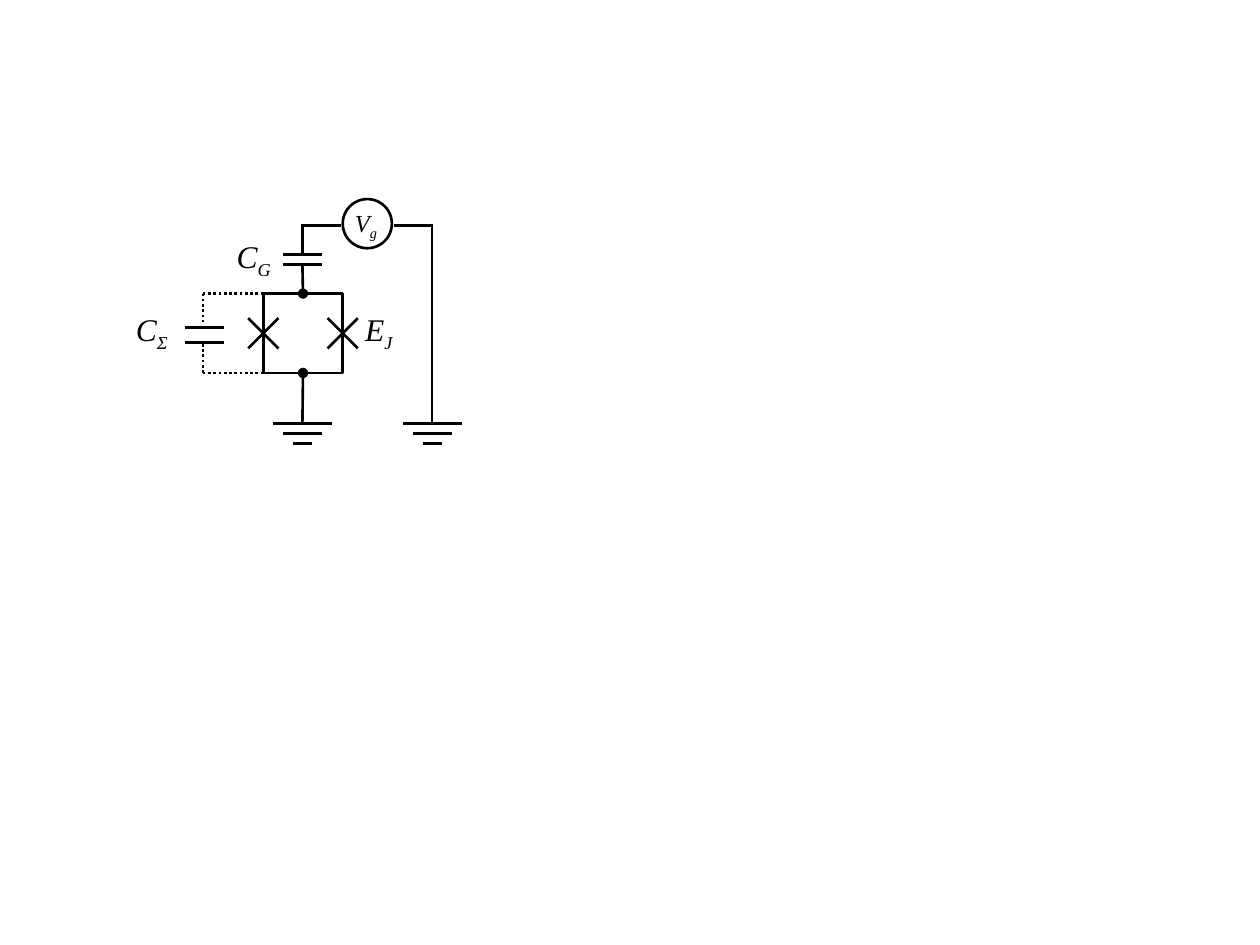
"""Build a slide with the circuit of a gated Cooper pair box."""
from dataclasses import dataclass
from typing import Optional

import pptx
import pptx.dml.color
import pptx.enum.dml
import pptx.enum.shapes
import pptx.enum.text
import pptx.oxml.ns
import pptx.util
from lxml import etree
from pptx.util import Inches

SHAPES = pptx.enum.shapes.MSO_SHAPE
ALIGN = pptx.enum.text.PP_ALIGN


@dataclass(frozen=True)
class Theme:
    """Colours, font and sizes in points."""
    ink: pptx.dml.color.RGBColor = pptx.dml.color.RGBColor(0, 0, 0)
    font: str = "Times New Roman"
    label_size: int = 18
    source_size: int = 14
    line_width: float = 1.5
    subscript: str = "-25000"


@dataclass(frozen=True)
class Wire:
    """A straight wire between two points in inches."""
    x1: float
    y1: float
    x2: float
    y2: float
    dotted: bool = False
    dot_end: Optional[str] = None


@dataclass(frozen=True)
class Label:
    """A symbol with its subscript and its box in inches."""
    symbol: str
    subscript: str
    left: float
    top: float
    width: float
    height: float
    size: int
    align: Optional[ALIGN] = None


THEME = Theme()
CENTRE, RIGHT, SHUNT = 2.4, 3.43, 1.61
LOOP_LEFT, LOOP_TOP, LOOP_SIZE = 2.09, 2.33, 0.63
LOOP_BOTTOM = LOOP_TOP + LOOP_SIZE
SOURCE_Y, GROUND_Y = 1.79, 3.36

WIRES = [
    Wire(CENTRE, 2.02, CENTRE, 1.78),
    Wire(CENTRE - 0.01, SOURCE_Y, 2.71, SOURCE_Y),
    Wire(RIGHT + 0.01, SOURCE_Y, 3.13, SOURCE_Y),
    Wire(RIGHT, 1.78, RIGHT, GROUND_Y),
    Wire(LOOP_LEFT, LOOP_TOP, SHUNT, LOOP_TOP, dotted=True),
    Wire(LOOP_LEFT, LOOP_BOTTOM, SHUNT, LOOP_BOTTOM, dotted=True),
    Wire(SHUNT, LOOP_TOP, SHUNT, 2.57, dotted=True),
    Wire(SHUNT, 2.73, SHUNT, LOOP_BOTTOM, dotted=True),
]
LABELS = [
    Label("V", "g", 2.71, 1.6, 0.39, 0.34, THEME.source_size, ALIGN.CENTER),
    Label("C", "Σ", 0.98, 2.41, 0.47, 0.4, THEME.label_size),
    Label("E", "J", 2.8, 2.41, 0.43, 0.4, THEME.label_size),
    Label("C", "G", 1.78, 1.83, 0.49, 0.4, THEME.label_size),
]


def style_line(line: pptx.dml.line.LineFormat) -> None:
    """Give a line the circuit's ink and width."""
    line.color.rgb = THEME.ink
    line.width = pptx.util.Pt(THEME.line_width)


def draw_wire(shapes, wire: Wire) -> pptx.shapes.connector.Connector:
    """Draw a wire, dotted or with a node dot where asked."""
    connector = shapes.add_connector(
        pptx.enum.shapes.MSO_CONNECTOR.STRAIGHT,
        Inches(wire.x1), Inches(wire.y1), Inches(wire.x2), Inches(wire.y2))
    style_line(connector.line)
    if wire.dotted:
        connector.line.dash_style = pptx.enum.dml.MSO_LINE.ROUND_DOT
    properties = connector._element.spPr
    if wire.dot_end:
        line = properties.find(pptx.oxml.ns.qn("a:ln"))
        etree.SubElement(line, pptx.oxml.ns.qn(f"a:{wire.dot_end}"), type="oval")
    etree.SubElement(properties, pptx.oxml.ns.qn("a:effectLst"))
    return connector


def draw_outline(shapes, kind: SHAPES, left: float, top: float,
                 size: float) -> pptx.shapes.autoshape.Shape:
    """Draw an unfilled shape as wide as it is high."""
    shape = shapes.add_shape(kind, Inches(left), Inches(top), Inches(size), Inches(size))
    shape.shadow.inherit = False
    shape.fill.background()
    style_line(shape.line)
    return shape


def draw_plates(shapes, centre: float, top: float, gap: float,
                widths: tuple[float, ...]) -> None:
    """Draw centred horizontal plates at equal gaps."""
    for index, width in enumerate(widths):
        y = top + index * gap
        draw_wire(shapes, Wire(centre - width / 2, y, centre + width / 2, y))


def draw_junction(shapes, x: float, y: float, reach: float = 0.12) -> None:
    """Draw the cross of a Josephson junction as a group."""
    cross = shapes.add_group_shape()
    for rise in (reach, -reach):
        draw_wire(cross.shapes, Wire(x - reach, y - rise, x + reach, y + rise))


def draw_label(shapes, label: Label) -> None:
    """Write an italic symbol with its subscript."""
    box = shapes.add_textbox(Inches(label.left), Inches(label.top),
                             Inches(label.width), Inches(label.height))
    frame = box.text_frame
    frame.word_wrap = False
    frame.auto_size = pptx.enum.text.MSO_AUTO_SIZE.SHAPE_TO_FIT_TEXT
    para = frame.paragraphs[0]
    para.alignment = label.align
    para.font.name = THEME.font
    para.font.size = pptx.util.Pt(label.size)
    para.font.italic = True
    para.font.color.rgb = THEME.ink
    para.add_run().text = label.symbol
    span = para.add_run()
    span.text = label.subscript
    span._r.get_or_add_rPr().set("baseline", THEME.subscript)


def main() -> None:
    """Build and save the deck."""
    deck = pptx.Presentation()
    deck.slide_width, deck.slide_height = Inches(10), Inches(7.5)
    shapes = deck.slides.add_slide(deck.slide_layouts[6]).shapes

    loop = draw_outline(shapes, SHAPES.RECTANGLE, LOOP_LEFT, LOOP_TOP, LOOP_SIZE)
    gate_wire = draw_wire(shapes, Wire(CENTRE, 2.1, CENTRE, LOOP_TOP, dot_end="tailEnd"))
    gate_wire.end_connect(loop, 0)
    ground_wire = draw_wire(
        shapes, Wire(CENTRE, LOOP_BOTTOM, CENTRE, GROUND_Y, dot_end="headEnd"))
    ground_wire.begin_connect(loop, 2)
    draw_outline(shapes, SHAPES.OVAL, 2.72, 1.58, 0.39)

    for wire in WIRES:
        draw_wire(shapes, wire)
    for x in (LOOP_LEFT, LOOP_LEFT + LOOP_SIZE):
        draw_junction(shapes, x, LOOP_TOP + LOOP_SIZE / 2)
    draw_plates(shapes, CENTRE, 2.02, 0.08, (0.31, 0.31))
    draw_plates(shapes, SHUNT + 0.01, 2.6, 0.12, (0.31, 0.31))
    for x in (CENTRE, RIGHT):
        draw_plates(shapes, x, GROUND_Y, 0.08, (0.47, 0.31, 0.15))
    for label in LABELS:
        draw_label(shapes, label)
    deck.save("out.pptx")


if __name__ == "__main__":
    main()
